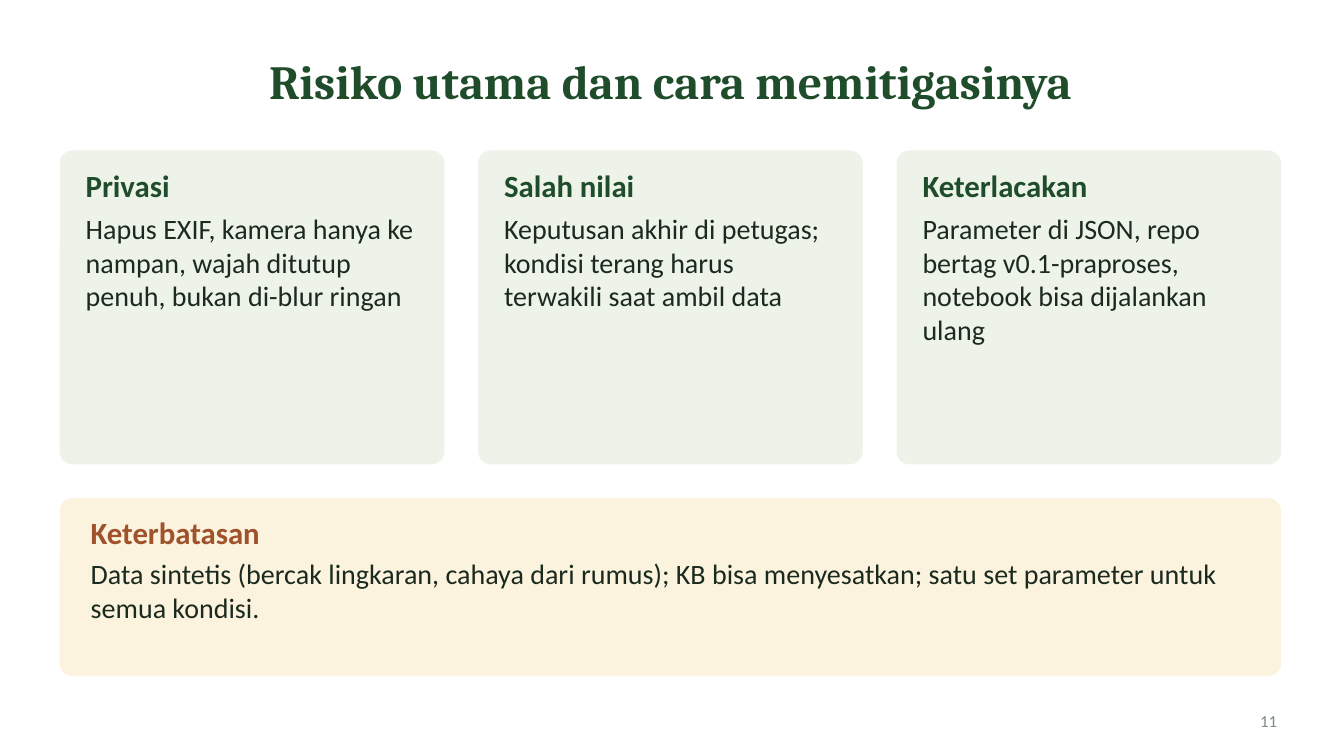
from pptx import Presentation
from pptx.dml.color import RGBColor
from pptx.enum.shapes import MSO_SHAPE
from pptx.enum.text import MSO_ANCHOR, MSO_AUTO_SIZE, PP_ALIGN
from pptx.util import Inches, Pt

GREEN = RGBColor(0x1F, 0x4D, 0x2B)
INK = RGBColor(0x1B, 0x2A, 0x1F)
SIENNA = RGBColor(0xA0, 0x52, 0x2D)
GREY = RGBColor(0x7A, 0x8B, 0x7E)
PALE_GREEN = RGBColor(0xED, 0xF3, 0xE8)
CREAM = RGBColor(0xFB, 0xF3, 0xDD)

TITLE = "Risiko utama dan cara memitigasinya"
RISKS = [
    ("Privasi", "Hapus EXIF, kamera hanya ke nampan, wajah ditutup penuh, bukan di-blur ringan"),
    ("Salah nilai", "Keputusan akhir di petugas; kondisi terang harus terwakili saat ambil data"),
    ("Keterlacakan", "Parameter di JSON, repo bertag v0.1-praproses, notebook bisa dijalankan ulang"),
]
LIMITS = (
    "Keterbatasan",
    "Data sintetis (bercak lingkaran, cahaya dari rumus); KB bisa menyesatkan; "
    "satu set parameter untuk semua kondisi.",
)
PAGE_NUMBER = "11"

LEFT, WIDTH, GAP = 0.6, 12.1, 0.35
CARD_WIDTH = (WIDTH - GAP * (len(RISKS) - 1)) / len(RISKS)
CARD_TOP, CARD_HEIGHT = 1.5, 3.1
LIMITS_TOP, LIMITS_HEIGHT = CARD_TOP + CARD_HEIGHT + GAP, 1.75
CORNER = 0.12

prs = Presentation()
prs.slide_width, prs.slide_height = Inches(13.33), Inches(7.5)
slide = prs.slides.add_slide(prs.slide_layouts[5])


def write(paragraph, text, size, color, bold=False, font="Calibri"):
    run = paragraph.add_run()
    run.text = text
    run.font.name = font
    run.font.size = Pt(size)
    run.font.bold = bold
    run.font.color.rgb = color


def clear_margins(frame):
    frame.margin_left = frame.margin_right = frame.margin_top = frame.margin_bottom = 0


def add_text_frame(left, top, width, height):
    box = slide.shapes.add_textbox(Inches(left), Inches(top), Inches(width), Inches(height))
    box.text_frame.word_wrap = True
    return box.text_frame


def add_card(content, box, fill, heading_color, inset, text_height, spacing):
    left, top, width, height = box
    card = slide.shapes.add_shape(MSO_SHAPE.ROUNDED_RECTANGLE, *map(Inches, box))
    card.adjustments[0] = CORNER / min(width, height)
    card.shadow.inherit = False
    card.fill.solid()
    card.fill.fore_color.rgb = fill
    card.line.color.rgb = fill
    card.line.width = Pt(1)

    frame = add_text_frame(left + inset, top + 0.15, width - 2 * inset, text_height)
    clear_margins(frame)
    heading, body = content
    first, second = frame.paragraphs[0], frame.add_paragraph()
    first.space_after = second.space_after = Pt(spacing)
    write(first, heading, 22, heading_color, bold=True)
    write(second, body, 20, INK)


title = slide.shapes.title
title.left, title.top, title.width, title.height = map(Inches, (LEFT, 0.35, WIDTH, 0.9))
title_frame = title.text_frame
clear_margins(title_frame)
title_frame.word_wrap = True
title_frame.auto_size = MSO_AUTO_SIZE.NONE
title_frame.vertical_anchor = MSO_ANCHOR.MIDDLE
title_frame.paragraphs[0].alignment = PP_ALIGN.CENTER
write(title_frame.paragraphs[0], TITLE, 34, GREEN, bold=True, font="Cambria")

for i, risk in enumerate(RISKS):
    card_left = LEFT + i * (CARD_WIDTH + GAP)
    add_card(risk, (card_left, CARD_TOP, CARD_WIDTH, CARD_HEIGHT),
             PALE_GREEN, GREEN, inset=0.25, text_height=2.8, spacing=6)

add_card(LIMITS, (LEFT, LIMITS_TOP, WIDTH, LIMITS_HEIGHT),
         CREAM, SIENNA, inset=0.3, text_height=1.5, spacing=4)

number_frame = add_text_frame(12.4, 7, 0.6, 0.3)
write(number_frame.paragraphs[0], PAGE_NUMBER, 12, GREY)

prs.save("out.pptx")
